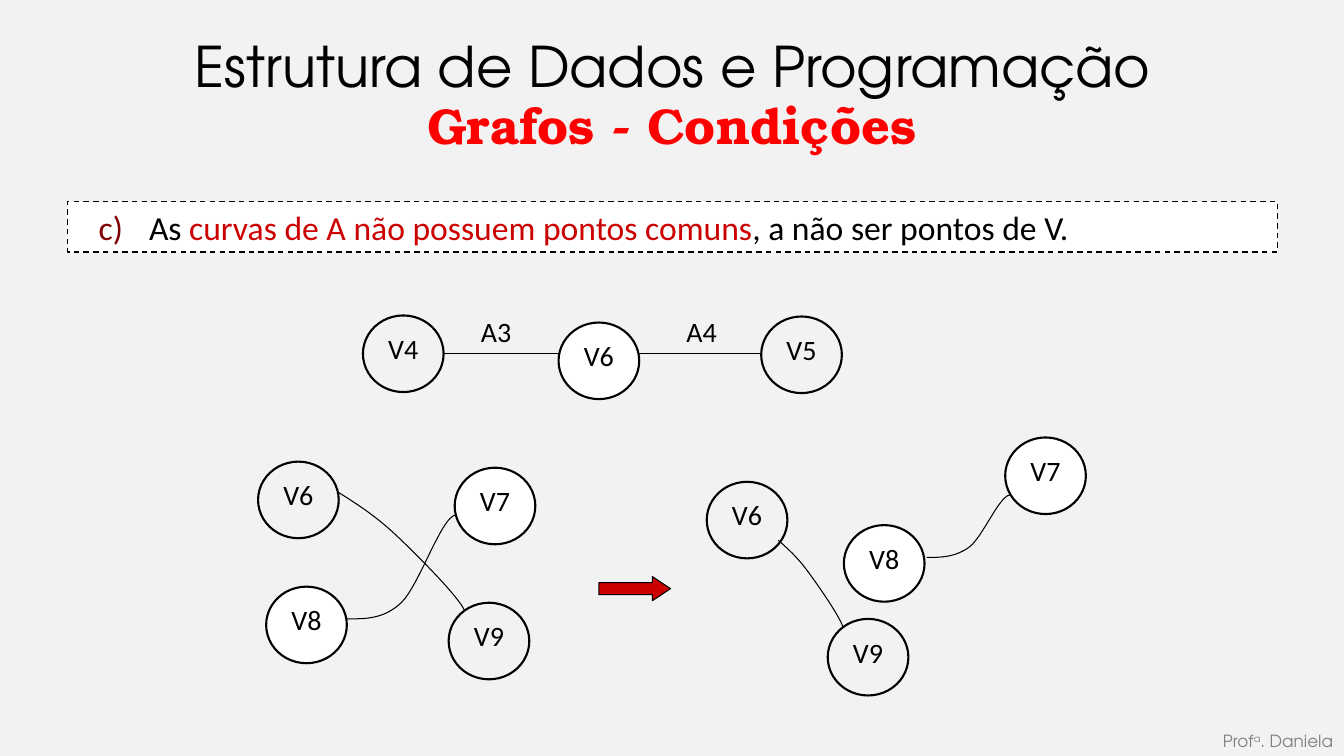
"""Build the slide on graph conditions: curves share no points except vertices."""
from dataclasses import dataclass
from typing import Optional

from lxml import etree
from pptx import Presentation
from pptx.dml.color import RGBColor
from pptx.enum.dml import MSO_LINE
from pptx.enum.shapes import MSO_CONNECTOR, MSO_SHAPE
from pptx.enum.text import MSO_ANCHOR, PP_ALIGN
from pptx.oxml.ns import qn
from pptx.util import Inches, Pt

RECTANGLE, OVAL, ARROW = MSO_SHAPE.RECTANGLE, MSO_SHAPE.OVAL, MSO_SHAPE.RIGHT_ARROW
STRAIGHT, DASH = MSO_CONNECTOR.STRAIGHT, MSO_LINE.DASH
TOP, MIDDLE = MSO_ANCHOR.TOP, MSO_ANCHOR.MIDDLE
CENTER, RIGHT, JUSTIFY = PP_ALIGN.CENTER, PP_ALIGN.RIGHT, PP_ALIGN.JUSTIFY

COLORS = {
    "background": "F2F2F2", "white": "FFFFFF", "black": "000000", "red": "FF0000",
    "accent": "CC0000", "bullet": "800000", "gray": "808080",
}
FORMATS = {
    "title": {"name": "TeX Gyre Adventor", "size": Pt(40)},
    "subtitle": {"name": "TeX Gyre Bonum", "size": Pt(36), "bold": True},
    "condition": {"name": "Calibri", "size": Pt(24)},
    "node": {"name": "Calibri", "size": Pt(20)},
    "footer": {"name": "TeX Gyre Adventor", "size": Pt(12)},
}
NODE_WIDTH, NODE_HEIGHT = 0.8, 0.76
CURVE_STEPS = 16

Point = tuple[float, float]


@dataclass
class Span:
    text: str
    color: str = "black"
    baseline: int = 0


@dataclass
class Node:
    label: str
    left: float
    top: float
    fill: Optional[str] = None
    outlined: bool = True


@dataclass
class Curve:
    start: Point
    segments: list[tuple[Point, Point, Point]]


@dataclass
class TextBlock:
    style: str
    bounds: tuple[float, float, float, float]
    anchor: MSO_ANCHOR
    align: PP_ALIGN
    spans: list[Span]


PATH_NODES = [
    Node("V4", 3.6, 3.13), Node("V5", 7.55, 3.14), Node("V6", 5.54, 3.2, "white"),
    Node("A3", 4.52, 2.96, outlined=False), Node("A4", 6.56, 2.96, outlined=False),
]
CROSSING_NODES = [
    Node("V6", 2.56, 4.58), Node("V9", 4.45, 5.98),
    Node("V7", 4.51, 4.64, "white"), Node("V8", 2.64, 5.82, "white"),
]
SEPARATE_NODES = [
    Node("V6", 7.01, 4.78), Node("V9", 8.21, 6.14),
    Node("V7", 9.97, 4.34, "white"), Node("V8", 8.37, 5.21, "white"),
]
CURVES = [
    Curve((3.35, 4.88), [((3.54, 5), (3.73, 5.12), (3.94, 5.32)),
                         ((4.15, 5.52), (4.55, 5.92), (4.61, 6.06))]),
    Curve((3.43, 6.14), [((3.61, 6.14), (3.8, 6.15), (3.98, 5.98)),
                         ((4.16, 5.81), (4.39, 5.09), (4.53, 5.11))]),
    Curve((7.72, 5.36), [((7.82, 5.45), (7.92, 5.54), (8.02, 5.68)),
                         ((8.13, 5.83), (8.33, 6.12), (8.36, 6.22))]),
    Curve((9.19, 5.53), [((9.33, 5.53), (9.47, 5.53), (9.61, 5.43)),
                         ((9.75, 5.33), (9.92, 4.89), (10.03, 4.91))]),
]
CONDITION = [
    Span("As "), Span("curvas de A não possuem pontos comuns", "accent"),
    Span(", a não ser pontos de V."),
]
TEXT_BLOCKS = [
    TextBlock("footer", (9.75, 7.2, 3.57, 0.3), TOP, RIGHT,
              [Span("Prof", "gray"), Span("a", "gray", 30000), Span(". Daniela", "gray")]),
    TextBlock("title", (0.67, 0.02, 12, 1.25), MIDDLE, CENTER,
              [Span("Estrutura de Dados e Programação")]),
    TextBlock("subtitle", (0.26, 0.92, 12.81, 0.63), MIDDLE, CENTER,
              [Span("Grafos - Condições", "red")]),
]


def rgb(name: str) -> RGBColor:
    return RGBColor.from_string(COLORS[name])


def write(box, spans: list[Span], style: str, align: PP_ALIGN, anchor: MSO_ANCHOR, wrap: bool = True):
    frame = box.text_frame
    frame.word_wrap = wrap
    frame.vertical_anchor = anchor
    para = frame.paragraphs[0]
    para.alignment = align
    for item in spans:
        span = para.add_run()
        span.text = item.text
        for attribute, value in FORMATS[style].items():
            setattr(span.font, attribute, value)
        span.font.color.rgb = rgb(item.color)
        if item.baseline:
            span.font._element.set("baseline", str(item.baseline))
    return para


def paint(shape, fill: Optional[str], width: Optional[float]) -> None:
    shape.shadow.inherit = False
    if fill:
        shape.fill.solid()
        shape.fill.fore_color.rgb = rgb(fill)
    else:
        shape.fill.background()
    if width:
        shape.line.color.rgb = rgb("black")
        shape.line.width = Pt(width)
    else:
        shape.line.fill.background()


def add_node(page, node: Node) -> None:
    bounds = (node.left, node.top, NODE_WIDTH, NODE_HEIGHT)
    circle = page.shapes.add_shape(OVAL, *map(Inches, bounds))
    paint(circle, node.fill, 1.5 if node.outlined else None)
    write(circle, [Span(node.label)], "node", CENTER, TOP, wrap=False)


def bezier(points: tuple[Point, Point, Point, Point], t: float) -> Point:
    weights = ((1 - t) ** 3, 3 * t * (1 - t) ** 2, 3 * t * t * (1 - t), t ** 3)
    x, y = (sum(w * p[axis] for w, p in zip(weights, points)) for axis in (0, 1))
    return x, y


def add_curve(page, curve: Curve) -> None:
    builder = page.shapes.build_freeform(*map(Inches, curve.start))
    start = curve.start
    for segment in curve.segments:
        samples = [bezier((start, *segment), step / CURVE_STEPS) for step in range(1, CURVE_STEPS + 1)]
        builder.add_line_segments([(Inches(x), Inches(y)) for x, y in samples], close=False)
        start = segment[-1]
    paint(builder.convert_to_shape(), None, 0.75)


def add_edge(page, start: Point, end: Point) -> None:
    edge = page.shapes.add_connector(STRAIGHT, *map(Inches, (*start, *end)))
    edge.line.color.rgb = rgb("black")
    edge.line.width = Pt(0.75)
    etree.SubElement(edge._element.spPr, qn("a:effectLst"))


def add_condition(page) -> None:
    box = page.shapes.add_shape(RECTANGLE, *map(Inches, (0.67, 2, 12, 0.5)))
    paint(box, "white", 1)
    box.line.dash_style = DASH
    para = write(box, CONDITION, "condition", JUSTIFY, TOP)
    properties = para._p.get_or_add_pPr()
    properties.set("marL", str(Inches(0.71)))
    properties.set("indent", str(Inches(-0.5)))
    color = etree.SubElement(properties, qn("a:buClr"))
    etree.SubElement(color, qn("a:srgbClr"), val=COLORS["bullet"])
    etree.SubElement(properties, qn("a:buFont"), typeface="Calibri")
    etree.SubElement(properties, qn("a:buAutoNum"), type="alphaLcParenR", startAt="3")


def main() -> None:
    deck = Presentation()
    deck.slide_width, deck.slide_height = Inches(13.33), Inches(7.5)
    page = deck.slides.add_slide(deck.slide_layouts[6])
    page.background.fill.solid()
    page.background.fill.fore_color.rgb = rgb("background")
    add_condition(page)
    add_edge(page, (4.39, 3.51), (7.56, 3.51))
    for node in PATH_NODES + CROSSING_NODES + SEPARATE_NODES:
        add_node(page, node)
    for curve in CURVES:
        add_curve(page, curve)
    arrow = page.shapes.add_shape(ARROW, *map(Inches, (5.94, 5.72, 0.71, 0.24)))
    arrow.adjustments[0], arrow.adjustments[1] = 0.5, 0.75
    paint(arrow, "accent", 0.75)
    for block in TEXT_BLOCKS:
        box = page.shapes.add_textbox(*map(Inches, block.bounds))
        write(box, block.spans, block.style, block.align, block.anchor)
    deck.save("out.pptx")


if __name__ == "__main__":
    main()
